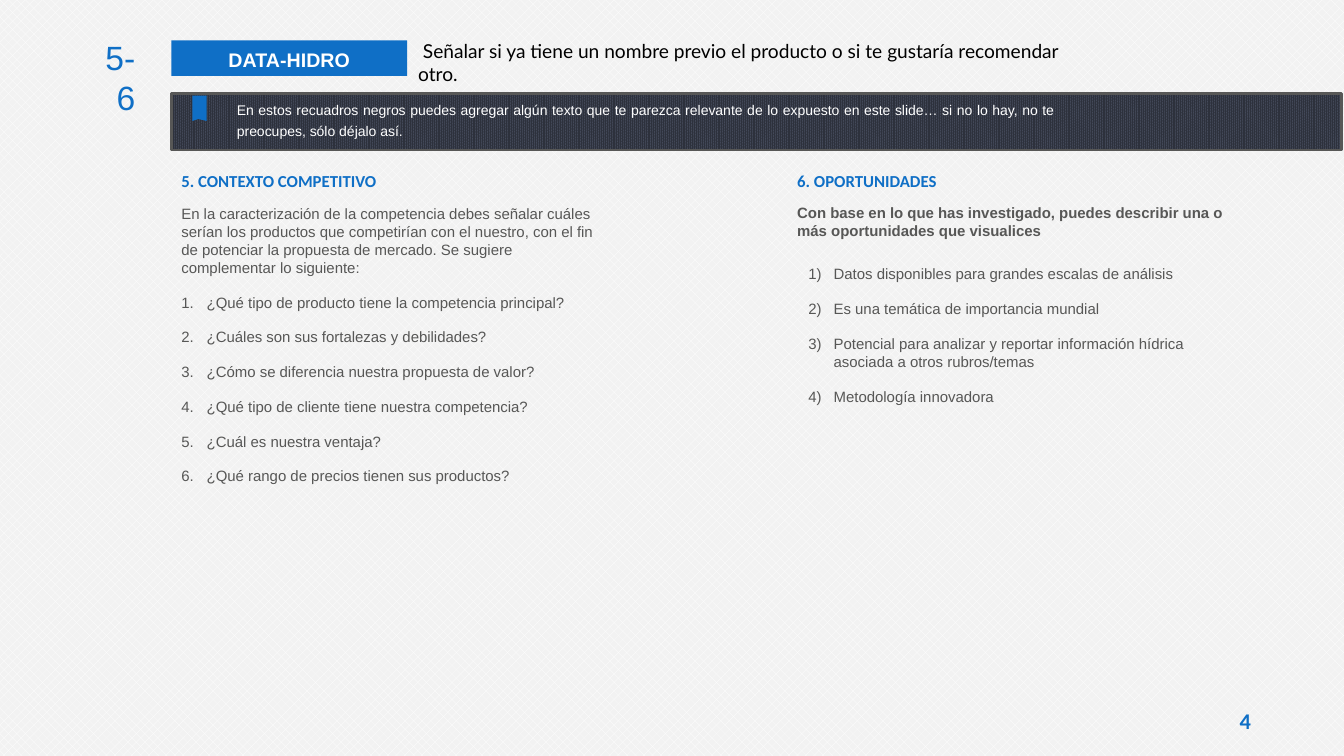
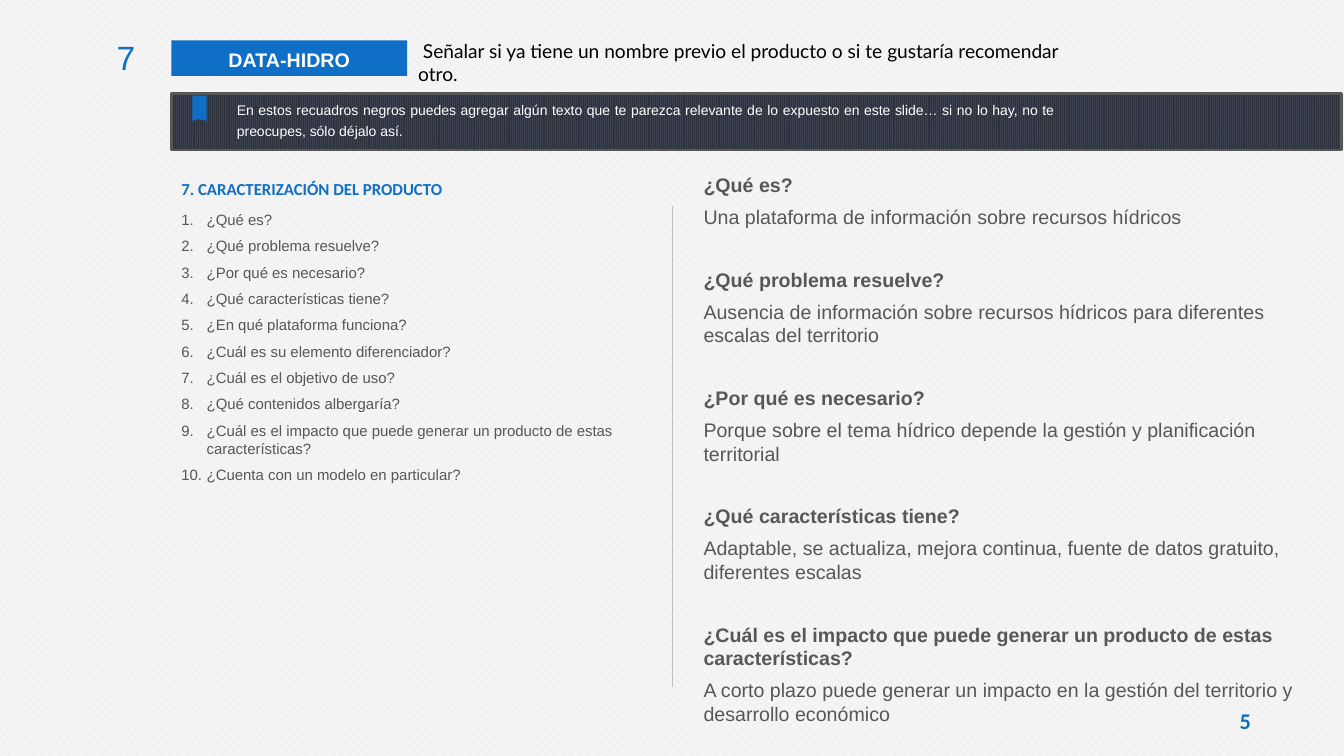
from lxml.etree import SubElement
from pptx import Presentation
from pptx.dml.color import RGBColor
from pptx.enum.dml import MSO_PATTERN
from pptx.enum.shapes import MSO_CONNECTOR, MSO_SHAPE
from pptx.enum.text import MSO_ANCHOR, MSO_AUTO_SIZE, PP_ALIGN
from pptx.oxml.ns import qn
from pptx.util import Cm, Pt

BLUE = "0F6FC6"
GREY = "575756"
WHITE = "FFFFFF"
BODY_SIZE = 10.7
LEFT = 4.32
RIGHT = 19.84

PRODUCT = "DATA-HIDRO"
HINT = "Señalar si ya tiene un nombre previo el producto o si te gustaría recomendar otro."
BAND_NOTE = (
    "En estos recuadros negros puedes agregar algún texto que te parezca relevante "
    "de lo expuesto en este slide… si no lo hay, no te preocupes, sólo déjalo así."
)
COMPETITION_INTRO = (
    "En la caracterización de la competencia debes señalar cuáles serían los productos "
    "que competirían con el nuestro, con el fin de potenciar la propuesta de mercado. "
    "Se sugiere complementar lo siguiente:"
)
COMPETITION_QUESTIONS = [
    "¿Qué tipo de producto tiene la competencia principal?",
    "¿Cuáles son sus fortalezas y debilidades?",
    "¿Cómo se diferencia nuestra propuesta de valor?",
    "¿Qué tipo de cliente tiene nuestra competencia?",
    "¿Cuál es nuestra ventaja?",
    "¿Qué rango de precios tienen sus productos?",
]
OPPORTUNITY_INTRO = (
    "Con base en lo que has investigado, puedes describir una o más oportunidades que visualices"
)
OPPORTUNITIES = [
    "Datos disponibles para grandes escalas de análisis",
    "Es una temática de importancia mundial",
    "Potencial para analizar y reportar información hídrica asociada a otros rubros/temas",
    "Metodología innovadora",
]
PRODUCT_QUESTIONS = [
    "¿Qué es?",
    "¿Qué problema resuelve?",
    "¿Por qué es necesario?",
    "¿Qué características tiene?",
    "¿En qué plataforma funciona?",
    "¿Cuál es su elemento diferenciador?",
    "¿Cuál es el objetivo de uso?",
    "¿Qué contenidos albergaría?",
    "¿Cuál es el impacto que puede generar un producto de estas características?",
    "¿Cuenta con un modelo en particular?",
]
ANSWERS = [
    ("¿Qué es?", "Una plataforma de información sobre recursos hídricos"),
    ("¿Qué problema resuelve?",
     "Ausencia de información sobre recursos hídricos para diferentes escalas del territorio"),
    ("¿Por qué es necesario?",
     "Porque sobre el tema hídrico depende la gestión y planificación territorial"),
    ("¿Qué características tiene?",
     "Adaptable, se actualiza, mejora continua, fuente de datos gratuito, diferentes escalas"),
    ("¿Cuál es el impacto que puede generar un producto de estas características?",
     "A corto plazo puede generar un impacto en la gestión del territorio y desarrollo económico"),
]


def colour(hex_code):
    return RGBColor.from_string(hex_code)


def fill_pattern(fill, pattern, front, back):
    fill.patterned()
    fill.pattern = pattern
    fill.fore_color.rgb = colour(front)
    fill.back_color.rgb = colour(back)


def fill_solid(shape, hex_code):
    shape.fill.solid()
    shape.fill.fore_color.rgb = colour(hex_code)


def set_indent(paragraph, left, first):
    properties = paragraph._p.get_or_add_pPr()
    properties.set("marL", str(Cm(left)))
    properties.set("indent", str(Cm(first)))
    return properties


def number_paragraph(paragraph, scheme):
    properties = set_indent(paragraph, 0.64, -0.64)
    SubElement(properties, qn("a:buAutoNum"), type=scheme)


def format_paragraph(paragraph, size=BODY_SIZE, font="Arial", hex_code=GREY, bold=False,
                     align=PP_ALIGN.LEFT, line_spacing=1.0, before=0, after=0):
    paragraph.alignment = align
    paragraph.line_spacing = line_spacing
    paragraph.space_before = Pt(before)
    paragraph.space_after = Pt(after)
    for run in paragraph.runs:
        run.font.size = Pt(size)
        run.font.name = font
        run.font.bold = bold
        run.font.color.rgb = colour(hex_code)


def write(frame, text, **style):
    frame.word_wrap = True
    frame.text = text
    format_paragraph(frame.paragraphs[0], **style)


def add_text(slide, box, text, **style):
    frame = slide.shapes.add_textbox(*map(Cm, box)).text_frame
    write(frame, text, **style)
    return frame


def add_heading(slide, left, top, text):
    add_text(slide, (left, top, 12.6, 0.76), text,
             size=12, font="Calibri", hex_code=BLUE, bold=True)


def add_list(slide, box, items, scheme="arabicPeriod", before=0, intro=None):
    lines = [intro, *items] if intro else items
    frame = add_text(slide, box, "\n".join(lines))
    for index, paragraph in enumerate(frame.paragraphs):
        if index or not intro:
            number_paragraph(paragraph, scheme)
        format_paragraph(paragraph, before=before if index else 0, after=6)


def add_answers(slide, box, answers):
    lines = [line for pair in answers for line in pair]
    frame = add_text(slide, box, "\n".join(lines))
    for index, paragraph in enumerate(frame.paragraphs):
        is_question = index % 2 == 0
        format_paragraph(paragraph, size=14, bold=is_question,
                         before=22 if is_question and index else 0, after=6)


def add_divider(slide, x, top, bottom):
    divider = slide.shapes.add_connector(
        MSO_CONNECTOR.STRAIGHT, Cm(x), Cm(top), Cm(x), Cm(bottom))
    divider.line.color.rgb = colour("BFBFBF")
    divider.line.width = Pt(0.75)
    SubElement(divider._element.spPr, qn("a:effectLst"))


def add_band(slide):
    band = slide.shapes.add_shape(
        MSO_SHAPE.RECTANGLE, Cm(LEFT), Cm(2.36), Cm(29.49), Cm(1.42))
    band.shadow.inherit = False
    fill_pattern(band.fill, MSO_PATTERN.PERCENT_90, "2D313C", "444A5A")
    band.line.color.rgb = colour(GREY)
    band.line.width = Pt(2)
    frame = band.text_frame
    frame.margin_left, frame.margin_right = Cm(1.65), Cm(7.26)
    frame.vertical_anchor = MSO_ANCHOR.TOP
    write(frame, BAND_NOTE, size=10, hex_code=WHITE,
          align=PP_ALIGN.JUSTIFY, line_spacing=1.2)


def add_bookmark(slide):
    outline = [(5.21, 3.05), (5.0, 3.0), (4.85, 3.05), (4.85, 2.41)]
    builder = slide.shapes.build_freeform(Cm(5.21), Cm(2.41))
    builder.add_line_segments([(Cm(x), Cm(y)) for x, y in outline], close=True)
    bookmark = builder.convert_to_shape()
    bookmark.shadow.inherit = False
    fill_solid(bookmark, BLUE)
    bookmark.line.fill.background()


def place_title(slide):
    title = slide.shapes.title
    title.left, title.top, title.width, title.height = map(Cm, (LEFT, 1.02, 5.94, 0.89))
    fill_solid(title, BLUE)
    title.text_frame.auto_size = MSO_AUTO_SIZE.NONE
    title.text_frame.vertical_anchor = MSO_ANCHOR.MIDDLE
    write(title.text_frame, PRODUCT, size=14, hex_code=WHITE, bold=True,
          align=PP_ALIGN.CENTER, line_spacing=1.1)


def add_page_number(slide, number):
    frame = add_text(slide, (30.61, 17.78, 1.55, 0.84), number, size=16, font="Calibri",
                     hex_code=BLUE, bold=True, align=PP_ALIGN.CENTER)
    frame.margin_left = frame.margin_right = Cm(0.13)
    frame.margin_top = frame.margin_bottom = Cm(0.05)


def add_base_slide(deck, section, page):
    slide = deck.slides.add_slide(deck.slide_layouts.get_by_name("Title Only"))
    fill_pattern(slide.background.fill, MSO_PATTERN.from_xml("pct40"), WHITE, "F2F2F2")
    place_title(slide)
    hint = add_text(slide, (10.29, 0.86, 17.35, 1.42), HINT,
                    size=13.7, font="Lato", hex_code="000000")
    hint.vertical_anchor = MSO_ANCHOR.MIDDLE
    set_indent(hint.paragraphs[0], 0, 0.12)
    add_text(slide, (1.98, 0.81, 1.68, 1.27), section,
             size=24, hex_code=BLUE, align=PP_ALIGN.RIGHT)
    add_band(slide)
    add_bookmark(slide)
    add_page_number(slide, page)
    return slide


def build_context_slide(deck):
    slide = add_base_slide(deck, "5-6", "4")
    add_heading(slide, LEFT, 4.17, "5. CONTEXTO COMPETITIVO")
    add_list(slide, (LEFT, 5.03, 11.18, 7.8), COMPETITION_QUESTIONS,
             before=6, intro=COMPETITION_INTRO)
    add_heading(slide, RIGHT, 4.17, "6. OPORTUNIDADES")
    add_text(slide, (RIGHT, 5.0, 11.46, 1.17), OPPORTUNITY_INTRO, bold=True)
    add_list(slide, (20.12, 6.55, 11.18, 3.81), OPPORTUNITIES,
             scheme="arabicParenR", before=6)


def build_product_slide(deck):
    slide = add_base_slide(deck, "7", "5")
    add_divider(slide, 16.94, 5.18, 17.32)
    add_heading(slide, LEFT, 4.37, "7. CARACTERIZACIÓN DEL PRODUCTO")
    add_list(slide, (LEFT, 5.18, 12.22, 7.19), PRODUCT_QUESTIONS)
    add_answers(slide, (17.48, 4.24, 15.72, 13.82), ANSWERS)


def main():
    deck = Presentation()
    deck.slide_width, deck.slide_height = Cm(33.87), Cm(19.05)
    build_context_slide(deck)
    build_product_slide(deck)
    deck.save("out.pptx")


if __name__ == "__main__":
    main()
